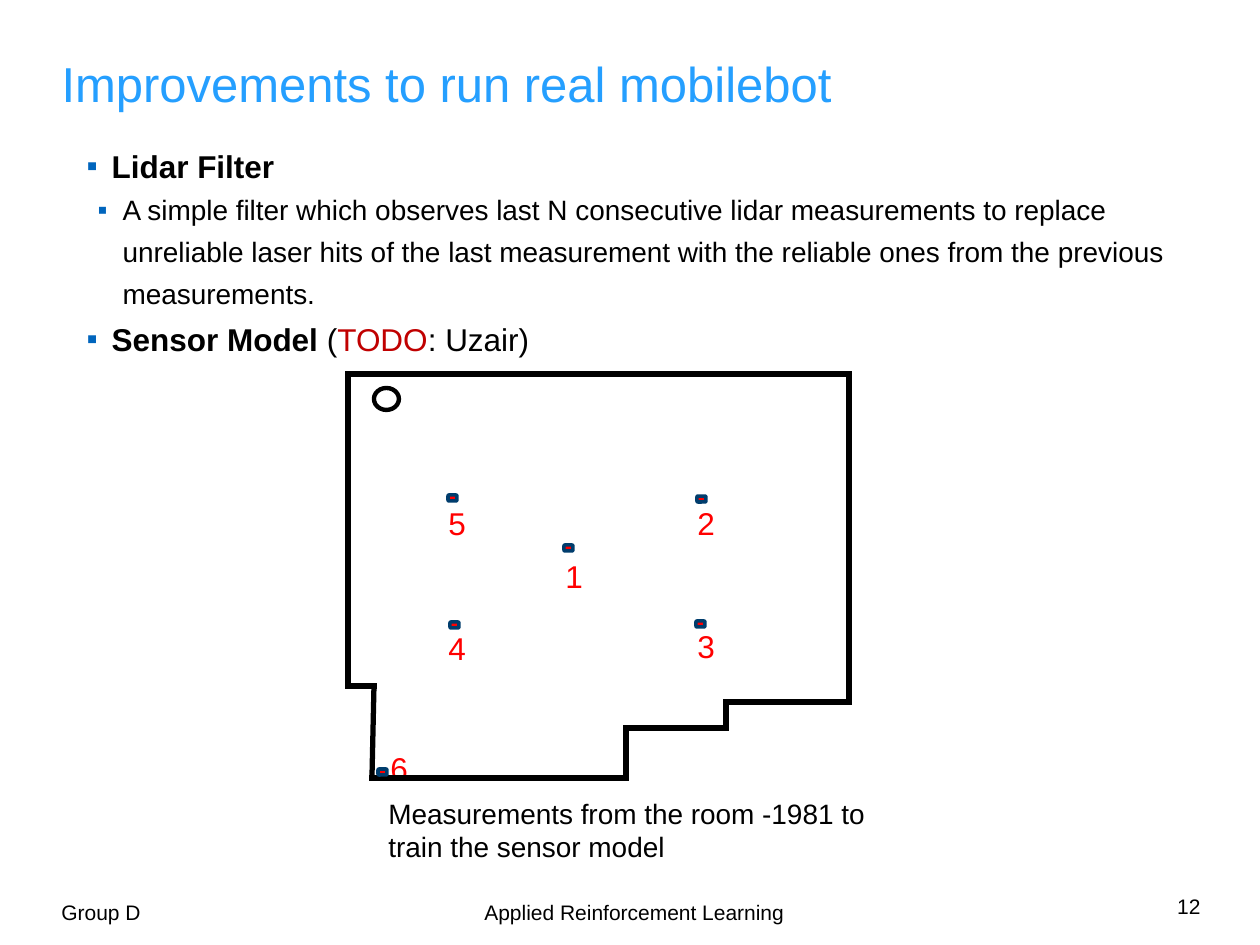
from dataclasses import dataclass
from itertools import pairwise

from lxml import etree
from pptx import Presentation
from pptx import util as u
from pptx.dml.color import RGBColor
from pptx.enum import shapes, text
from pptx.oxml.ns import qn

PX = u.Inches(1) // 126
FONT = "Arial"
BLACK = RGBColor(0x00, 0x00, 0x00)
WHITE = RGBColor(0xFF, 0xFF, 0xFF)
SKY = RGBColor(0x25, 0x9F, 0xFF)
BULLET_BLUE = RGBColor(0x00, 0x65, 0xBD)
DARK_RED = RGBColor(0xC0, 0x00, 0x00)
RED = RGBColor(0xFF, 0x00, 0x00)
NAVY = RGBColor(0x00, 0x3D, 0x6D)


@dataclass
class Run:
    text: str
    bold: bool = False
    color: RGBColor = BLACK


@dataclass
class Bullet:
    level: int
    size: int
    margin: int
    runs: list[Run]


@dataclass
class Spot:
    """A measuring position: its marker and its number, by their left and top."""
    number: str
    marker: tuple[int, int]
    label: tuple[int, int]


BULLETS = [
    Bullet(1, 18, 50, [Run("Lidar Filter", bold=True)]),
    Bullet(2, 16, 61, [Run(
        "A simple filter which observes last N consecutive lidar measurements to replace "
        "unreliable laser hits of the last measurement with the reliable ones from the "
        "previous measurements.")]),
    Bullet(1, 18, 50, [Run("Sensor Model ", bold=True), Run("("),
                       Run("TODO", color=DARK_RED), Run(": Uzair)")]),
]
HANGING = 25
ROOM_CORNERS = [(348, 374), (849, 374), (849, 702), (726, 702), (726, 728), (626, 728),
                (626, 778), (372, 778), (374, 686), (348, 686), (348, 374)]
SPOTS = [
    Spot("4", (450, 622), (436, 623)),
    Spot("5", (448, 495), (436, 498)),
    Spot("1", (564, 545), (553, 551)),
    Spot("2", (697, 496), (685, 498)),
    Spot("3", (696, 621), (685, 621)),
    Spot("6", (378, 769), (378, 743)),
]


def place(shape, left: int, top: int, width: int, height: int) -> None:
    shape.left, shape.top, shape.width, shape.height = (
        length * PX for length in (left, top, width, height))


def write(paragraph, words: str, *, size: int, color: RGBColor = BLACK, bold: bool = False,
          align=text.PP_ALIGN.LEFT, spacing: float = 1.0) -> None:
    paragraph.alignment = align
    paragraph.line_spacing = spacing
    paragraph.space_before = u.Pt(0)
    run = paragraph.add_run()
    run.text = words
    run.font.name, run.font.size, run.font.bold = FONT, u.Pt(size), bold
    run.font.color.rgb = color


def add_text(slide, words: str, box: tuple[int, int, int, int], *, wrap: bool = True,
             anchor=text.MSO_ANCHOR.TOP, **style):
    shape = slide.shapes.add_textbox(*(length * PX for length in box))
    shape.text_frame.word_wrap = wrap
    shape.text_frame.vertical_anchor = anchor
    write(shape.text_frame.paragraphs[0], words, **style)
    return shape


def add_tab_stop(paragraph, position: int) -> None:
    tabs = etree.SubElement(paragraph._p.get_or_add_pPr(), qn("a:tabLst"))
    etree.SubElement(tabs, qn("a:tab"), pos=str(position * PX), algn="l")


def set_bullet(paragraph, margin: int) -> None:
    properties = paragraph._p.get_or_add_pPr()
    properties.set("marL", str(margin * PX))
    properties.set("indent", str(-HANGING * PX))
    color = etree.SubElement(properties, qn("a:buClr"))
    etree.SubElement(color, qn("a:srgbClr"), val=str(BULLET_BLUE))
    etree.SubElement(properties, qn("a:buFont"), typeface=FONT)
    etree.SubElement(properties, qn("a:buChar"), char="▪")


def fill_body(body) -> None:
    frame = body.text_frame
    frame.auto_size = text.MSO_AUTO_SIZE.NONE
    for index, bullet in enumerate(BULLETS):
        paragraph = frame.add_paragraph() if index else frame.paragraphs[0]
        paragraph.level = bullet.level
        for run in bullet.runs:
            write(paragraph, run.text, size=bullet.size, bold=run.bold, color=run.color,
                  spacing=1.25)
        set_bullet(paragraph, bullet.margin)


def add_wall(slide, start: tuple[int, int], end: tuple[int, int]) -> None:
    wall = slide.shapes.add_connector(
        shapes.MSO_CONNECTOR.STRAIGHT, *(length * PX for length in start + end))
    wall.line.color.rgb = BLACK
    wall.line.width = u.Pt(3)
    wall.line._ln.set("cap", "sq")
    etree.SubElement(wall._element.spPr, qn("a:effectLst"))


def add_mark(slide, kind, box: tuple[int, int, int, int], fill: RGBColor,
             line: RGBColor, width: float) -> None:
    mark = slide.shapes.add_shape(kind, *(length * PX for length in box))
    mark.shadow.inherit = False
    mark.fill.solid()
    mark.fill.fore_color.rgb = fill
    mark.line.color.rgb = line
    mark.line.width = u.Pt(width)


def add_room(slide) -> None:
    for spot in SPOTS:
        add_text(slide, spot.number, (*spot.label, 44, 47), wrap=False, size=18, color=RED)
    add_text(slide, "Measurements from the room -1981 to train the sensor model",
             (376, 790, 551, 74), size=16)
    for start, end in pairwise(ROOM_CORNERS):
        add_wall(slide, start, end)
    add_mark(slide, shapes.MSO_SHAPE.OVAL, (374, 388, 25, 22), WHITE, BLACK, 2.5)
    for spot in SPOTS:
        add_mark(slide, shapes.MSO_SHAPE.ROUNDED_RECTANGLE, (*spot.marker, 9, 6),
                 RED, NAVY, 2)


def main() -> None:
    presentation = Presentation()
    presentation.slide_width, presentation.slide_height = u.Inches(10), u.Inches(7.5)
    slide = presentation.slides.add_slide(presentation.slide_layouts[1])

    title, body = slide.placeholders
    place(title, 49, 51, 988, 49)
    title.text_frame.auto_size = text.MSO_AUTO_SIZE.NONE
    title.text_frame.vertical_anchor = text.MSO_ANCHOR.MIDDLE
    write(title.text_frame.paragraphs[0], "Improvements to run real mobilebot",
          size=28, color=SKY, spacing=1.25)
    place(body, 49, 131, 1160, 243)
    fill_body(body)

    add_room(slide)
    footer = add_text(slide, "Group D\tApplied Reinforcement Learning", (49, 888, 1086, 49),
                      anchor=text.MSO_ANCHOR.MIDDLE, size=12)
    add_tab_stop(footer.text_frame.paragraphs[0], 423)
    add_text(slide, "12", (1135, 887, 78, 49), size=12, align=text.PP_ALIGN.RIGHT)
    presentation.save("out.pptx")


if __name__ == "__main__":
    main()
